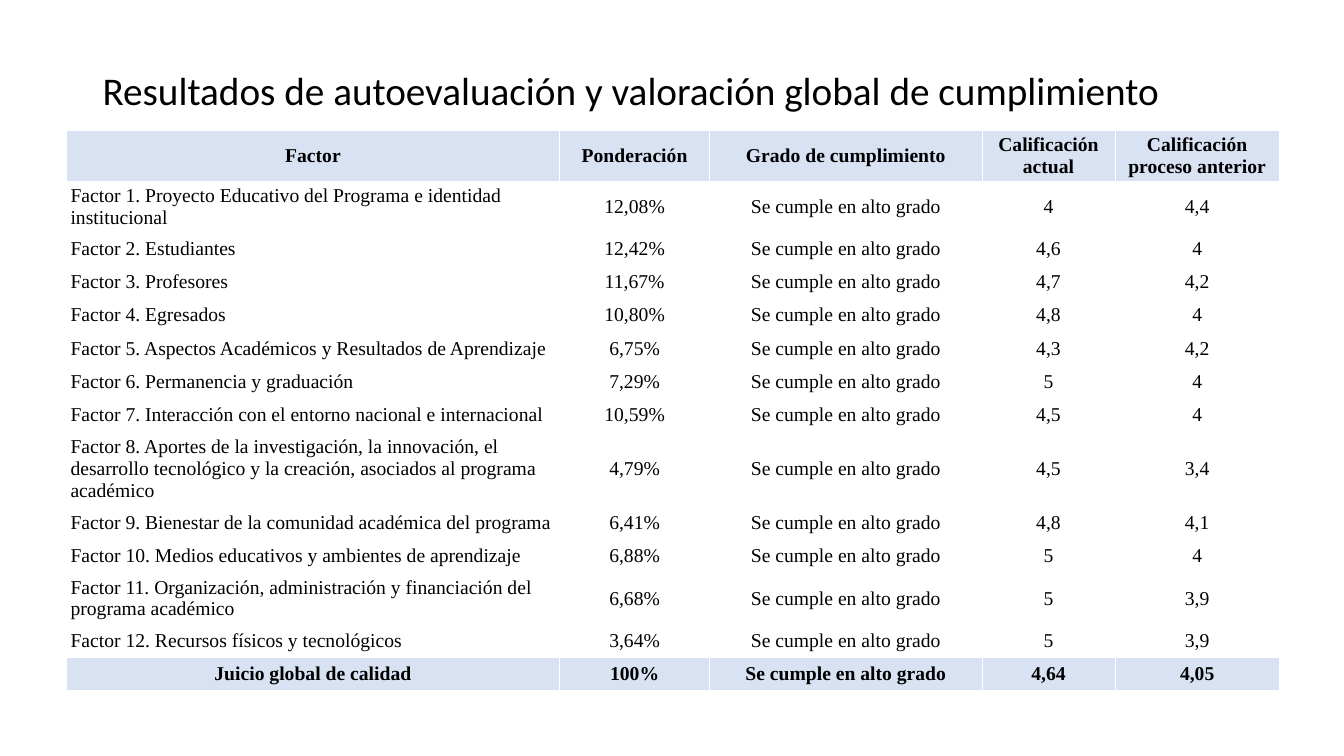
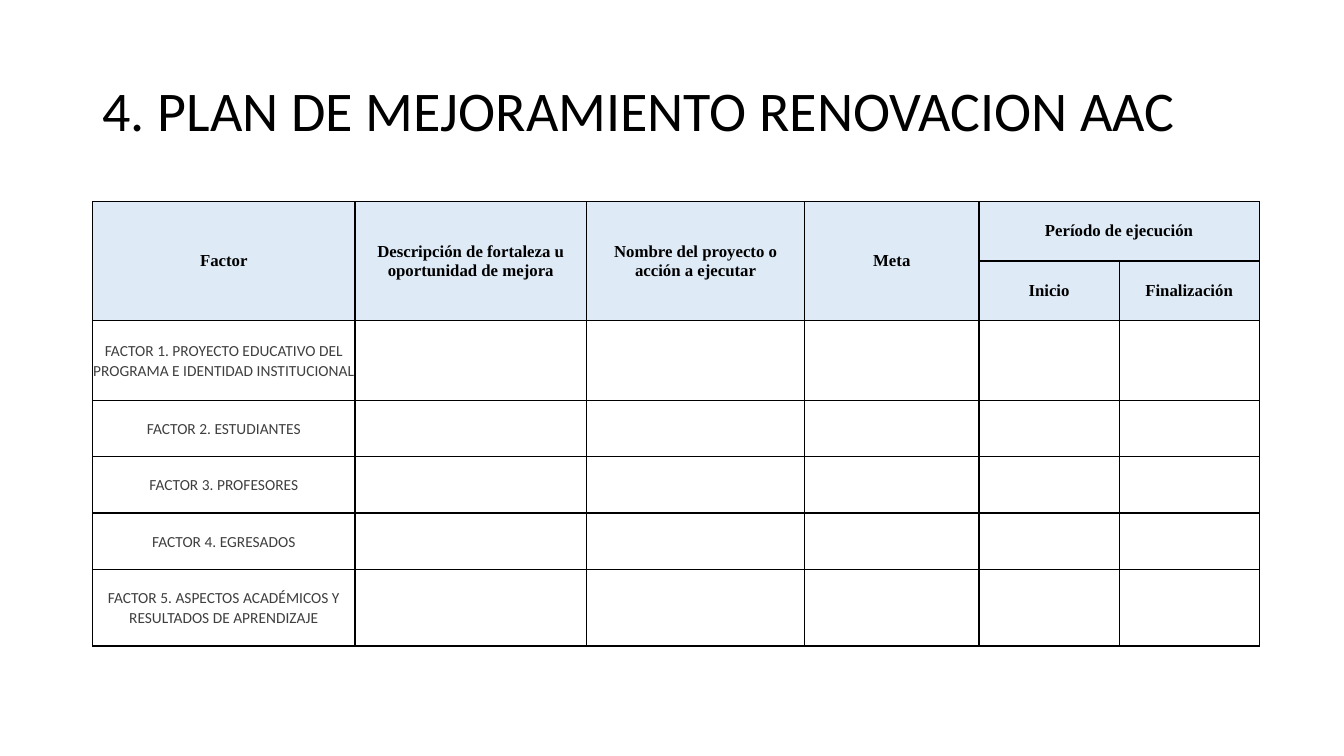
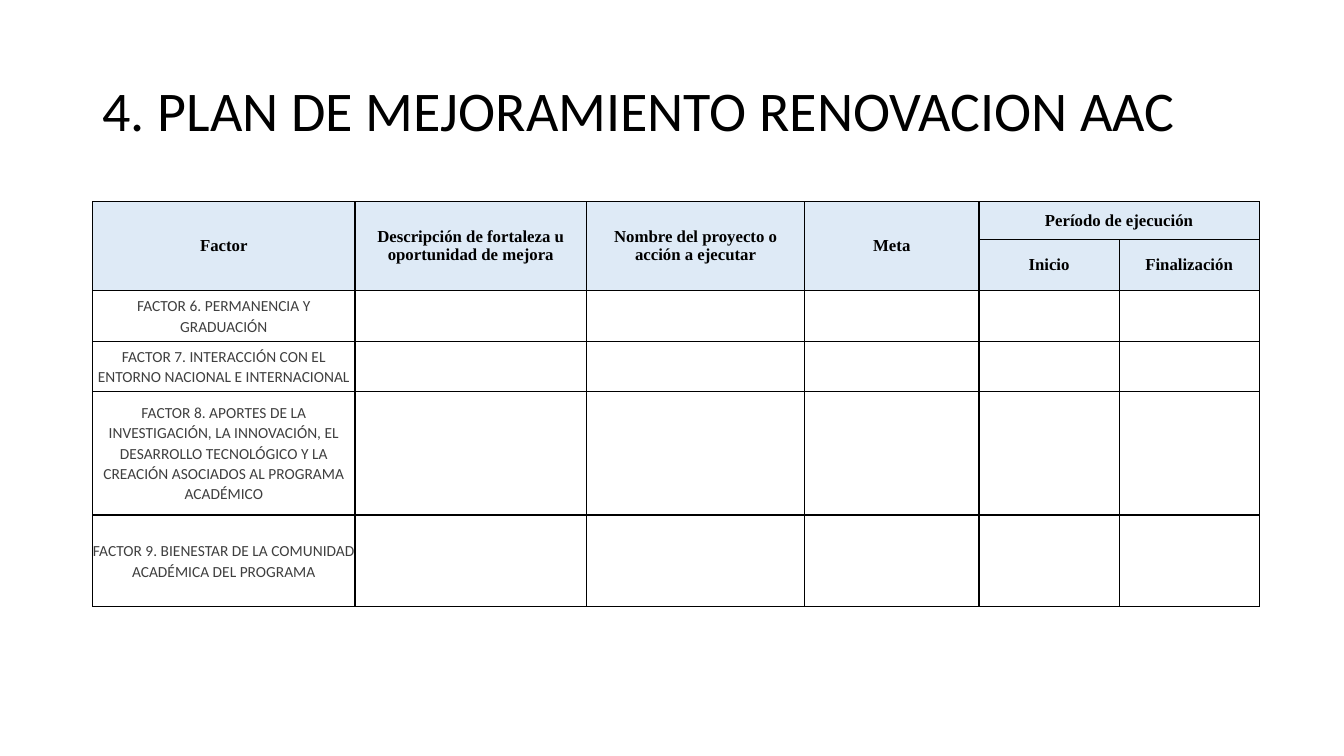
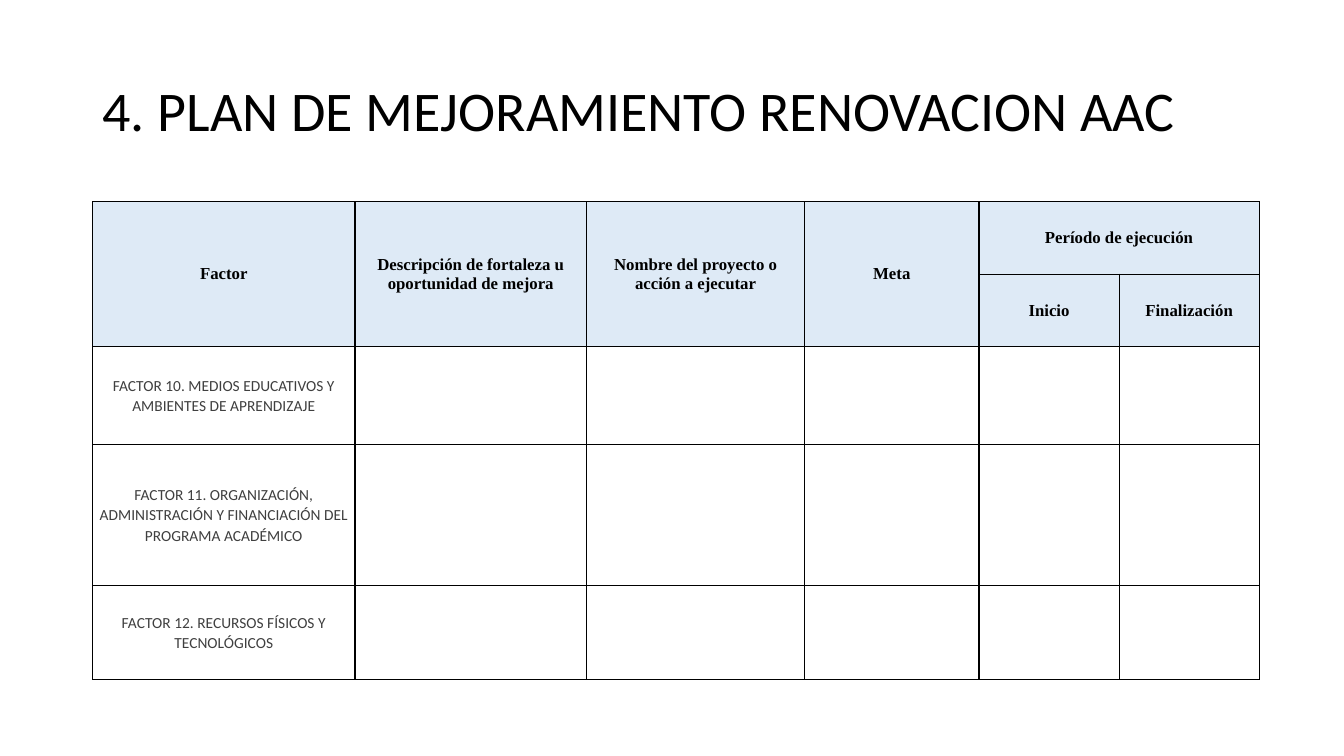
from pptx import Presentation
from pptx.dml.color import RGBColor
from pptx.enum.text import MSO_ANCHOR, PP_ALIGN
from pptx.oxml import parse_xml
from pptx.oxml.ns import nsdecls
from pptx.util import Inches, Pt

LEFT, CENTER = PP_ALIGN.LEFT, PP_ALIGN.CENTER
MIDDLE = MSO_ANCHOR.MIDDLE

COLORS = {
    "text": "000000",
    "factor": "3F3F3F",
    "results_band": "D9E2F3",
    "plan_band": "DEEAF6",
    "results_border": "FFFFFF",
    "plan_border": "000000",
}

# Text formats: font values plus colour name
TITLE = {"name": "Calibri", "size": Pt(40), "color": "text"}
SMALL_TITLE = {**TITLE, "size": Pt(28)}
RESULT = {"name": "Times New Roman", "size": Pt(14), "bold": False, "color": "text"}
RESULT_BOLD = {**RESULT, "bold": True}
PLAN_HEADER = {**RESULT_BOLD, "size": Pt(12)}
PLAN_FACTOR = {"name": "Calibri", "size": Pt(11), "bold": False, "color": "factor"}

# Cell insets: left, top, right, bottom
RESULT_INSETS = (0.04, 0.02, 0.04, 0.02)
HEADER_INSETS = (0.1, 0.05, 0.1, 0.05)
FACTOR_INSETS = (0, 0, 0, 0)

# Results table
GRADE = "Se cumple en alto grado"
RESULT_COLUMNS = [4.89, 1.49, 2.7, 1.32, 1.63]
RESULT_HEADERS = ["Factor", "Ponderación", "Grado de cumplimiento",
                  "Calificación\vactual", "Calificación\vproceso anterior"]
RESULT_TOTAL = ["Juicio global de calidad", "100%", GRADE, "4,64", "4,05"]
# Factor, weight, current score, previous score
RESULTS = [
    ("Proyecto Educativo del Programa e identidad institucional", "12,08%", "4", "4,4"),
    ("Estudiantes", "12,42%", "4,6", "4"),
    ("Profesores", "11,67%", "4,7", "4,2"),
    ("Egresados", "10,80%", "4,8", "4"),
    ("Aspectos Académicos y Resultados de Aprendizaje", "6,75%", "4,3", "4,2"),
    ("Permanencia y graduación", "7,29%", "5", "4"),
    ("Interacción con el entorno nacional e internacional", "10,59%", "4,5", "4"),
    ("Aportes de la investigación, la innovación, el desarrollo tecnológico y la "
     "creación, asociados al programa académico", "4,79%", "4,5", "3,4"),
    ("Bienestar de la comunidad académica del programa", "6,41%", "4,8", "4,1"),
    ("Medios educativos y ambientes de aprendizaje", "6,88%", "5", "4"),
    ("Organización, administración y financiación del programa académico",
     "6,68%", "5", "3,9"),
    ("Recursos físicos y tecnológicos", "3,64%", "5", "3,9"),
]

# Improvement plan tables
PLAN_TITLE = "4. PLAN DE MEJORAMIENTO RENOVACION AAC"
PLAN_COLUMNS = [2.6, 2.3, 2.16, 1.73, 1.39, 1.39]
PLAN_HEADERS = ["Factor", "Descripción de fortaleza u oportunidad de mejora",
                "Nombre del proyecto o acción a ejecutar", "Meta"]
PERIOD_HEADER = "Período de ejecución"
PERIOD_PARTS = ["Inicio", "Finalización"]
# Per slide: heights of the two header rows, then factors with row heights
PLANS = [
    ((0.59, 0.59), [
        ("FACTOR 1. PROYECTO EDUCATIVO DEL PROGRAMA E IDENTIDAD INSTITUCIONAL", 0.79),
        ("FACTOR 2. ESTUDIANTES", 0.56),
        ("FACTOR 3. PROFESORES", 0.56),
        ("FACTOR 4. EGRESADOS", 0.56),
        ("FACTOR 5. ASPECTOS ACADÉMICOS Y RESULTADOS DE APRENDIZAJE", 0.76),
    ]),
    ((0.38, 0.47), [
        ("FACTOR 6. PERMANENCIA Y GRADUACIÓN", 0.51),
        ("FACTOR 7. INTERACCIÓN CON EL ENTORNO NACIONAL E INTERNACIONAL", 0.49),
        ("FACTOR 8. APORTES DE LA INVESTIGACIÓN, LA INNOVACIÓN, EL DESARROLLO "
         "TECNOLÓGICO Y LA CREACIÓN ASOCIADOS AL PROGRAMA ACADÉMICO", 1.23),
        ("FACTOR 9. BIENESTAR DE LA COMUNIDAD ACADÉMICA DEL PROGRAMA", 0.91),
    ]),
    ((0.72, 0.72), [
        ("FACTOR 10. MEDIOS EDUCATIVOS Y AMBIENTES DE APRENDIZAJE", 0.97),
        ("FACTOR 11. ORGANIZACIÓN, ADMINISTRACIÓN Y FINANCIACIÓN DEL PROGRAMA "
         "ACADÉMICO", 1.4),
        ("FACTOR 12. RECURSOS FÍSICOS Y TECNOLÓGICOS", 0.93),
    ]),
]


def add_slide(presentation):
    return presentation.slides.add_slide(presentation.slide_layouts[6])


def write_text(text_frame, text, text_format, **paragraph_format):
    text_frame.text = text
    paragraph = text_frame.paragraphs[0]
    for name, value in paragraph_format.items():
        setattr(paragraph, name, value)
    for run in paragraph.runs:
        for name, value in text_format.items():
            if name == "color":
                run.font.color.rgb = RGBColor.from_string(COLORS[value])
            else:
                setattr(run.font, name, value)


def add_title(slide, text, height, text_format):
    box = slide.shapes.add_textbox(Inches(0.92), Inches(0.4), Inches(11.5), Inches(height))
    box.text_frame.word_wrap = True
    box.text_frame.vertical_anchor = MIDDLE
    write_text(box.text_frame, text, text_format, line_spacing=0.9)


def set_borders(cell, color, width):
    properties = cell._tc.get_or_add_tcPr()
    for index, side in enumerate(("lnL", "lnR", "lnT", "lnB")):
        properties.insert(index, parse_xml(
            f'<a:{side} {nsdecls("a")} w="{Pt(width)}"><a:solidFill>'
            f'<a:srgbClr val="{COLORS[color]}"/></a:solidFill></a:{side}>'))


def add_table(slide, left, top, columns, rows, border, border_width):
    frame = slide.shapes.add_table(len(rows), len(columns), Inches(left), Inches(top),
                                   Inches(sum(columns)), Inches(sum(rows)))
    table = frame.table
    table.first_row = table.horz_banding = False
    for column, width in zip(table.columns, columns):
        column.width = Inches(width)
    for row, height in zip(table.rows, rows):
        row.height = Inches(height)
    for cell in table.iter_cells():
        cell.fill.background()
        set_borders(cell, border, border_width)
    return table


def fill_cell(cell, color):
    cell.fill.solid()
    cell.fill.fore_color.rgb = RGBColor.from_string(COLORS[color])


def write_cell(cell, text, text_format, insets, **paragraph_format):
    cell.vertical_anchor = MIDDLE
    for side, inset in zip(("left", "top", "right", "bottom"), insets):
        setattr(cell, f"margin_{side}", Inches(inset))
    write_text(cell.text_frame, text, text_format, **paragraph_format)


def add_results_table(slide):
    records = [RESULT_HEADERS]
    for number, (factor, weight, current, previous) in enumerate(RESULTS, 1):
        records.append([f"Factor {number}. {factor}", weight, GRADE, current, previous])
    records.append(RESULT_TOTAL)
    heights = [0.4 if index in (0, 8) else 0.33 for index in range(len(records))]
    table = add_table(slide, 0.66, 1.29, RESULT_COLUMNS, heights, "results_border", 0.5)
    for row, record in enumerate(records):
        is_band = record in (RESULT_HEADERS, RESULT_TOTAL)
        for column, text in enumerate(record):
            cell = table.cell(row, column)
            alignment = CENTER if is_band or column else LEFT
            write_cell(cell, text, RESULT_BOLD if is_band else RESULT,
                       RESULT_INSETS, alignment=alignment)
            if is_band:
                fill_cell(cell, "results_band")


def add_plan_table(slide, header_heights, factors):
    heights = [*header_heights, *(height for _, height in factors)]
    table = add_table(slide, 0.92, 2, PLAN_COLUMNS, heights, "plan_border", 1)

    # Two-row header with a split period
    period = len(PLAN_HEADERS)
    for row in range(2):
        for column in range(len(PLAN_COLUMNS)):
            fill_cell(table.cell(row, column), "plan_band")
    for column in range(period):
        table.cell(0, column).merge(table.cell(1, column))
    table.cell(0, period).merge(table.cell(0, period + 1))
    for row, first, headers in ((0, 0, [*PLAN_HEADERS, PERIOD_HEADER]),
                                (1, period, PERIOD_PARTS)):
        for column, text in enumerate(headers, first):
            write_cell(table.cell(row, column), text, PLAN_HEADER, HEADER_INSETS,
                       alignment=CENTER)

    # Factors
    for row, (text, _) in enumerate(factors, 2):
        write_cell(table.cell(row, 0), text, PLAN_FACTOR, FACTOR_INSETS,
                   alignment=CENTER, line_spacing=1.07, space_after=Pt(8))


def main():
    presentation = Presentation()
    presentation.slide_width, presentation.slide_height = Inches(13.33), Inches(7.5)

    slide = add_slide(presentation)
    add_title(slide, "Resultados de autoevaluación y valoración global de cumplimiento",
              1.05, SMALL_TITLE)
    add_results_table(slide)

    for header_heights, factors in PLANS:
        slide = add_slide(presentation)
        add_title(slide, PLAN_TITLE, 1.45, TITLE)
        add_plan_table(slide, header_heights, factors)

    presentation.save("out.pptx")


if __name__ == "__main__":
    main()
